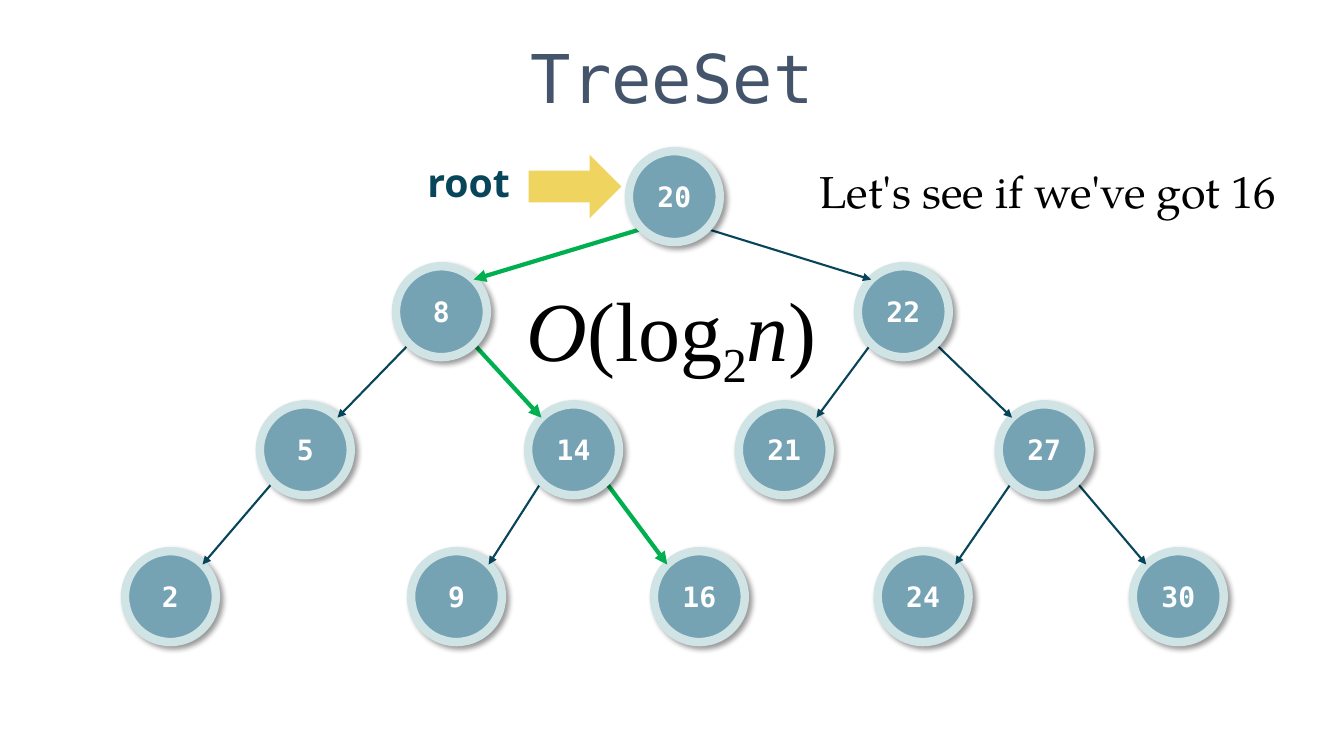
from dataclasses import dataclass
from typing import Optional

from lxml.etree import SubElement
from pptx import Presentation
from pptx.dml.color import RGBColor
from pptx.enum.shapes import MSO_CONNECTOR, MSO_SHAPE
from pptx.enum.text import MSO_ANCHOR, MSO_AUTO_SIZE, PP_ALIGN
from pptx.oxml.ns import qn
from pptx.util import Cm, Pt

MONO = "DejaVu Sans Mono"
TEAL = "07465A"
GREEN = "00B050"
DIAMETER = 2.29
DIAGONAL = DIAMETER / 2 * 0.5 ** 0.5
LEVEL_TOPS = [3.81, 6.71, 10.19, 13.89]


@dataclass
class Run:
    text: str
    size: float
    font: str
    color: str
    bold: bool = False
    italic: bool = False
    subscript: bool = False


@dataclass
class Label:
    left: float
    top: float
    width: float
    height: float
    runs: list[Run]
    align: PP_ALIGN = PP_ALIGN.LEFT
    anchor: MSO_ANCHOR = MSO_ANCHOR.TOP
    wrap: bool = True
    line_spacing: Optional[float] = None


@dataclass
class Node:
    value: int
    level: int
    left: float
    parent: Optional[int] = None
    on_path: bool = False

    @property
    def center(self) -> tuple[float, float]:
        return self.left + DIAMETER / 2, LEVEL_TOPS[self.level] + DIAMETER / 2


def rgb(color: str) -> RGBColor:
    return RGBColor.from_string(color)


def add_runs(paragraph, runs: list[Run]) -> None:
    for item in runs:
        run = paragraph.add_run()
        run.text = item.text
        run.font.size = Pt(item.size)
        run.font.name = item.font
        run.font.bold = item.bold
        run.font.italic = item.italic
        run.font.color.rgb = rgb(item.color)
        if item.subscript:
            run.font._element.set("baseline", "-25000")


def add_label(slide, label: Label) -> None:
    box = slide.shapes.add_textbox(
        Cm(label.left), Cm(label.top), Cm(label.width), Cm(label.height))
    frame = box.text_frame
    frame.word_wrap = label.wrap
    frame.auto_size = MSO_AUTO_SIZE.NONE
    frame.vertical_anchor = label.anchor
    paragraph = frame.paragraphs[0]
    paragraph.alignment = label.align
    if label.line_spacing:
        paragraph.line_spacing = Pt(label.line_spacing)
    add_runs(paragraph, label.runs)


def add_shadow(shape) -> None:
    shape.shadow.inherit = False
    effects = shape._element.spPr.find(qn("a:effectLst"))
    shadow = SubElement(effects, qn("a:outerShdw"), blurRad=str(Pt(4)),
                        dist=str(Pt(3)), dir="2700000", algn="tl", rotWithShape="0")
    color = SubElement(shadow, qn("a:srgbClr"), val="000000")
    SubElement(color, qn("a:alpha"), val="40000")


def add_node(slide, node: Node) -> None:
    shape = slide.shapes.add_shape(
        MSO_SHAPE.OVAL, Cm(node.left), Cm(LEVEL_TOPS[node.level]), Cm(DIAMETER), Cm(DIAMETER))
    shape.fill.solid()
    shape.fill.fore_color.rgb = rgb("75A3B4")
    shape.line.color.rgb = rgb("D0E4E6")
    shape.line.width = Pt(6)
    add_shadow(shape)
    shape.text_frame.vertical_anchor = MSO_ANCHOR.MIDDLE
    paragraph = shape.text_frame.paragraphs[0]
    paragraph.alignment = PP_ALIGN.CENTER
    add_runs(paragraph, [Run(str(node.value), 20, MONO, "FFFFFF", bold=True)])


def add_edge(slide, parent: Node, child: Node) -> None:
    """Join the facing 45-degree points of two circles with an arrow."""
    parent_x, parent_y = parent.center
    child_x, child_y = child.center
    side = DIAGONAL if child_x > parent_x else -DIAGONAL
    edge = slide.shapes.add_connector(
        MSO_CONNECTOR.STRAIGHT,
        Cm(parent_x + side), Cm(parent_y + DIAGONAL),
        Cm(child_x - side), Cm(child_y - DIAGONAL))
    edge.line.color.rgb = rgb(GREEN if child.on_path else TEAL)
    edge.line.width = Pt(3 if child.on_path else 1.5)
    SubElement(edge.line._get_or_add_ln(), qn("a:tailEnd"), type="triangle")
    SubElement(edge._element.spPr, qn("a:effectLst"))


def add_root_arrow(slide) -> None:
    arrow = slide.shapes.add_shape(
        MSO_SHAPE.RIGHT_ARROW, Cm(13.32), Cm(3.9), Cm(2.34), Cm(1.6))
    arrow.shadow.inherit = False
    arrow.fill.solid()
    arrow.fill.fore_color.rgb = rgb("EFD460")
    arrow.line.fill.background()


NODES = [
    Node(20, 0, 15.85),
    Node(8, 1, 9.98, 20, on_path=True),
    Node(22, 1, 21.62, 20),
    Node(5, 2, 6.55, 8),
    Node(14, 2, 13.31, 8, on_path=True),
    Node(21, 2, 18.62, 22),
    Node(27, 2, 25.17, 22),
    Node(2, 3, 3.15, 5),
    Node(9, 3, 10.36, 14),
    Node(16, 3, 16.48, 14, on_path=True),
    Node(24, 3, 22.12, 27),
    Node(30, 3, 28.55, 27),
]


def formula_run(text: str, italic: bool = False, subscript: bool = False) -> Run:
    return Run(text, 60, "Times New Roman", "000000", italic=italic, subscript=subscript)


LABELS = [
    Label(1.7, 0.66, 30.48, 2.41, [Run("TreeSet", 48, MONO, "44546A")],
          PP_ALIGN.CENTER, MSO_ANCHOR.BOTTOM, line_spacing=48),
    Label(10.52, 3.86, 3.94, 1.45, [Run("root", 28, "Open Sans", TEAL, bold=True)]),
    Label(12.8, 6.86, 8.26, 2.82,
          [formula_run("O", italic=True), formula_run("(log"),
           formula_run("2", subscript=True), formula_run("n", italic=True),
           formula_run(")")],
          PP_ALIGN.CENTER, wrap=False),
    Label(20.4, 4.01, 13.18, 1.63,
          [Run("Let's see if we've got 16", 32, "TeX Gyre Pagella", "000000")]),
]


def main() -> None:
    presentation = Presentation()
    presentation.slide_width = Cm(33.87)
    presentation.slide_height = Cm(19.05)
    slide = presentation.slides.add_slide(presentation.slide_layouts[6])

    # Title, captions and formula
    for label in LABELS:
        add_label(slide, label)
    add_root_arrow(slide)

    # Tree, from the leaves up, so each circle covers the start of its arrows
    by_value = {node.value: node for node in NODES}
    for level in reversed(range(len(LEVEL_TOPS))):
        row = [node for node in NODES if node.level == level]
        for node in row:
            add_node(slide, node)
        for node in row:
            if node.parent is not None:
                add_edge(slide, by_value[node.parent], node)

    presentation.save("out.pptx")


if __name__ == "__main__":
    main()
